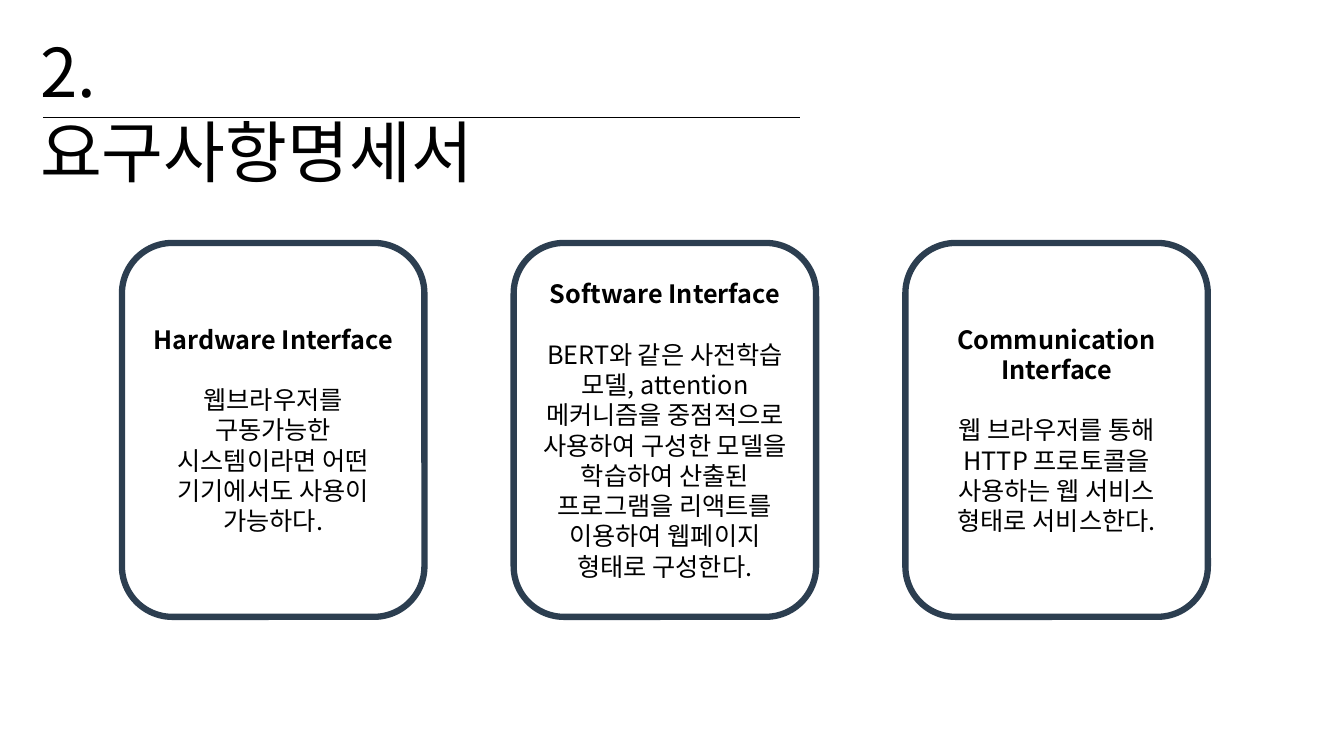
from lxml.etree import SubElement
from pptx import Presentation
from pptx.dml.color import RGBColor
from pptx.enum.shapes import MSO_CONNECTOR, MSO_SHAPE
from pptx.enum.text import MSO_ANCHOR, PP_ALIGN
from pptx.oxml.ns import qn
from pptx.util import Inches, Pt

BLACK = RGBColor(0x00, 0x00, 0x00)
WHITE = RGBColor(0xFF, 0xFF, 0xFF)
NAVY = RGBColor(0x2C, 0x3E, 0x50)
FONT = "Noto Sans CJK KR"

HEAD = {"size": Pt(48), "bold": False}
NAME = {"size": Pt(18), "bold": True}
BODY = {"size": Pt(18), "bold": False}

TITLE = "2. 요구사항명세서"
CARDS = [
    ("Hardware Interface",
     "웹브라우저를 구동가능한 시스템이라면 어떤 기기에서도 사용이 가능하다."),
    ("Software Interface",
     "BERT와 같은 사전학습 모델, attention 메커니즘을 중점적으로 사용하여 "
     "구성한 모델을 학습하여 산출된 프로그램을 리액트를 이용하여 웹페이지 "
     "형태로 구성한다."),
    ("Communication Interface",
     "웹 브라우저를 통해 HTTP 프로토콜을 사용하는 웹 서비스 형태로 서비스한다."),
]


def write(para, text, form):
    """Add a run in the slide's font, for Latin and Korean alike."""
    run = para.add_run()
    run.text = text
    for key, value in form.items():
        setattr(run.font, key, value)
    run.font.color.rgb = BLACK
    run.font.name = FONT
    SubElement(run.font._element, qn("a:ea"), typeface=FONT)


def add_head(slide, left, top, width, height):
    """Place the title at the left of the box and a rule along its foot."""
    box = slide.shapes.add_textbox(left, top, Inches(5.15), height)
    frame = box.text_frame
    frame.word_wrap = True
    frame.margin_right = Inches(0.4)
    write(frame.paragraphs[0], TITLE, HEAD)

    start, foot = left + Inches(0.13), top + height
    rule = slide.shapes.add_connector(
        MSO_CONNECTOR.STRAIGHT, start, foot, left + width, foot)
    rule.line.color.rgb = BLACK
    rule.line.width = Pt(0.5)
    SubElement(rule._element.spPr, qn("a:effectLst"))


def add_card(slide, left, top, width, height, name, body):
    card = slide.shapes.add_shape(
        MSO_SHAPE.ROUNDED_RECTANGLE, left, top, width, height)
    card.shadow.inherit = False
    card.fill.solid()
    card.fill.fore_color.rgb = WHITE
    card.line.color.rgb = NAVY
    card.line.width = Pt(4.5)

    frame = card.text_frame
    frame.word_wrap = True
    frame.vertical_anchor = MSO_ANCHOR.MIDDLE
    first, second = frame.paragraphs[0], frame.add_paragraph()
    second.space_before = Pt(21.6)
    for para, text, form in ((first, name, NAME), (second, body, BODY)):
        para.alignment = PP_ALIGN.CENTER
        write(para, text, form)


def add_cards(slide, left, top, width, height):
    """Spread the cards over the box with equal gaps."""
    wide = Inches(3)
    step = (width - wide) // (len(CARDS) - 1)
    for col, (name, body) in enumerate(CARDS):
        add_card(slide, left + col * step, top, wide, height, name, body)


def main():
    deck = Presentation()
    deck.slide_width, deck.slide_height = Inches(13.33), Inches(7.5)
    slide = deck.slides.add_slide(deck.slide_layouts[6])
    add_head(slide, Inches(0.3), Inches(0.25), Inches(7.63), Inches(0.91))
    add_cards(slide, Inches(1.21), Inches(2.41), Inches(10.77), Inches(3.71))
    deck.save("out.pptx")


if __name__ == "__main__":
    main()
